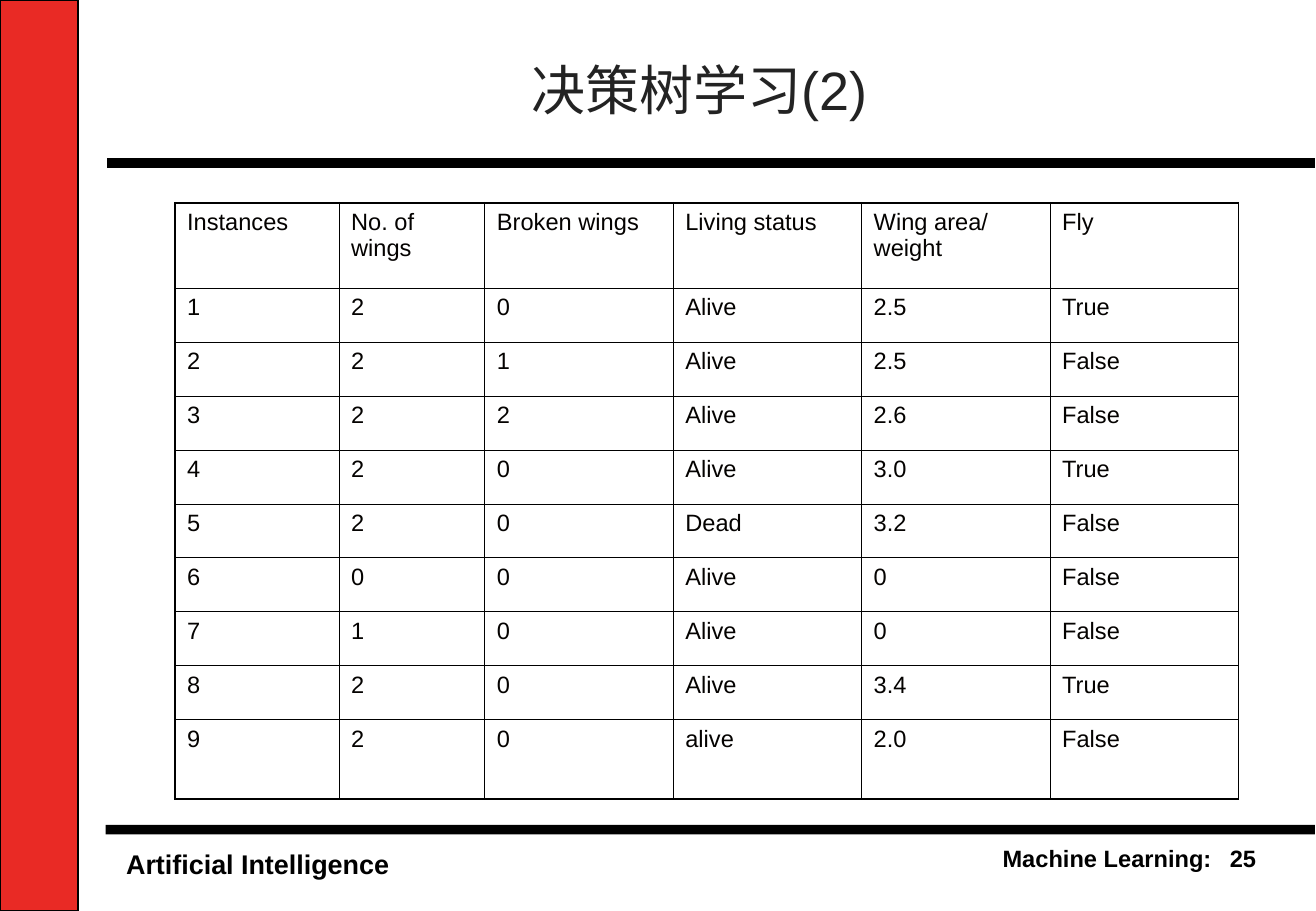
from lxml.etree import SubElement
from pptx import Presentation
from pptx.dml.color import RGBColor
from pptx.enum.shapes import MSO_CONNECTOR, MSO_SHAPE
from pptx.enum.text import MSO_ANCHOR, MSO_AUTO_SIZE, PP_ALIGN
from pptx.oxml.ns import qn
from pptx.util import Cm, Pt

BLACK = RGBColor(0x00, 0x00, 0x00)
RED = RGBColor(0xE9, 0x2A, 0x25)
TITLE_GREY = RGBColor(0x23, 0x23, 0x23)
CELL_INK = RGBColor(0x04, 0x02, 0x00)
FONT = "Arial"
THIN, THICK = Pt(0.45), Pt(1.08)

SLIDE_WIDTH, SLIDE_HEIGHT = 27.53, 19.05
COLUMN_SHARES = [3.43, 3.05, 3.94, 3.94, 3.94, 3.94]
HEADER_HEIGHT, ROW_HEIGHT = 1.78, 1.13

ROWS = [
    ["Instances", "No. of wings", "Broken wings", "Living status", "Wing area/ weight", "Fly"],
    ["1", "2", "0", "Alive", "2.5", "True"],
    ["2", "2", "1", "Alive", "2.5", "False"],
    ["3", "2", "2", "Alive", "2.6", "False"],
    ["4", "2", "0", "Alive", "3.0", "True"],
    ["5", "2", "0", "Dead", "3.2", "False"],
    ["6", "0", "0", "Alive", "0", "False"],
    ["7", "1", "0", "Alive", "0", "False"],
    ["8", "2", "0", "Alive", "3.4", "True"],
    ["9", "2", "0", "alive", "2.0", "False"],
]


def format_runs(para, size, color, bold=False):
    for span in para.runs:
        span.font.name = FONT
        span.font.size = Pt(size)
        span.font.bold = bold
        span.font.color.rgb = color


def add_bar(page, box, color, outlined=False):
    bar = page.shapes.add_shape(MSO_SHAPE.RECTANGLE, *map(Cm, box))
    bar.shadow.inherit = False
    bar.fill.solid()
    bar.fill.fore_color.rgb = color
    if outlined:
        bar.line.color.rgb = BLACK
        bar.line.width = Pt(1)
    else:
        bar.line.fill.background()


def add_label(page, box, text, size, wrap, right_tabs=()):
    label = page.shapes.add_textbox(*map(Cm, box))
    frame = label.text_frame
    frame.word_wrap = wrap
    frame.auto_size = MSO_AUTO_SIZE.SHAPE_TO_FIT_TEXT
    frame.text = text
    para = frame.paragraphs[0]
    if right_tabs:
        tab_list = SubElement(para._p.get_or_add_pPr(), qn("a:tabLst"))
        for position in right_tabs:
            SubElement(tab_list, qn("a:tab"), pos=str(Cm(position)), algn="r")
    format_runs(para, size, BLACK, bold=True)


def add_header(page, box):
    left, top, width, height = box
    # Title
    title = page.shapes.title
    title.left, title.top = Cm(left + 0.73), Cm(top + 0.56)
    title.width, title.height = Cm(23.34), Cm(2.62)
    frame = title.text_frame
    frame.text = "决策树学习(2)"
    frame.vertical_anchor = MSO_ANCHOR.MIDDLE
    frame.paragraphs[0].alignment = PP_ALIGN.CENTER
    format_runs(frame.paragraphs[0], 32, TITLE_GREY)
    # Rule under the title
    rule = page.shapes.add_connector(
        MSO_CONNECTOR.STRAIGHT, Cm(left), Cm(top + height), Cm(left + width), Cm(top + height))
    rule.line.color.rgb = BLACK
    rule.line.width = Pt(6)
    SubElement(rule._element.spPr, qn("a:effectLst"))


def add_footer(page, box):
    left, top, width, height = box
    add_bar(page, (left, top, width, 0.2), BLACK)
    add_label(page, (left + 0.18, top + 0.35, 6.02, 0.91), "Artificial Intelligence", 16, False)
    # Section name and page number, each set against a right tab
    add_label(page, (left + 14.22, top + 0.28, 10.13, 0.84),
              "\tMachine Learning:\t25", 14, True, right_tabs=(8.67, 9.6))


def set_borders(cell, widths):
    properties = cell._tc.get_or_add_tcPr()
    for side, width in zip("LRTB", widths):
        line = SubElement(properties, qn(f"a:ln{side}"), w=str(width))
        fill = SubElement(line, qn("a:solidFill"))
        SubElement(fill, qn("a:srgbClr"), val=str(BLACK))


def add_instances_table(page, box):
    left, top, width, height = box
    last_row, last_column = len(ROWS) - 1, len(COLUMN_SHARES) - 1
    table = page.shapes.add_table(last_row + 1, last_column + 1, *map(Cm, box)).table
    table.first_row = table.horz_banding = False
    for column, share in zip(table.columns, COLUMN_SHARES):
        column.width = Cm(width * share / sum(COLUMN_SHARES))
    for row in table.rows:
        row.height = Cm(ROW_HEIGHT)
    table.rows[0].height = Cm(HEADER_HEIGHT)
    table.rows[last_row].height = Cm(height - HEADER_HEIGHT - ROW_HEIGHT * (last_row - 1))

    for r, values in enumerate(ROWS):
        for c, value in enumerate(values):
            cell = table.cell(r, c)
            cell.text = value
            para = cell.text_frame.paragraphs[0]
            para.space_after = Pt(3.5)
            format_runs(para, 14, CELL_INK)
            # Thick lines on the outer edge only
            on_edge = (c == 0, c == last_column, r == 0, r == last_row)
            set_borders(cell, [THICK if edge else THIN for edge in on_edge])
            cell.fill.background()


def main():
    deck = Presentation()
    deck.slide_width, deck.slide_height = Cm(SLIDE_WIDTH), Cm(SLIDE_HEIGHT)
    page = deck.slides.add_slide(deck.slide_layouts[5])
    # Red side band
    add_bar(page, (0, 0, 1.63, SLIDE_HEIGHT), RED, outlined=True)
    add_header(page, (2.24, 0, 25.27, 3.4))
    add_instances_table(page, (3.66, 4.24, 22.25, 12.47))
    add_footer(page, (2.21, 17.25, 25.3, 1.8))
    deck.save("out.pptx")


if __name__ == "__main__":
    main()
